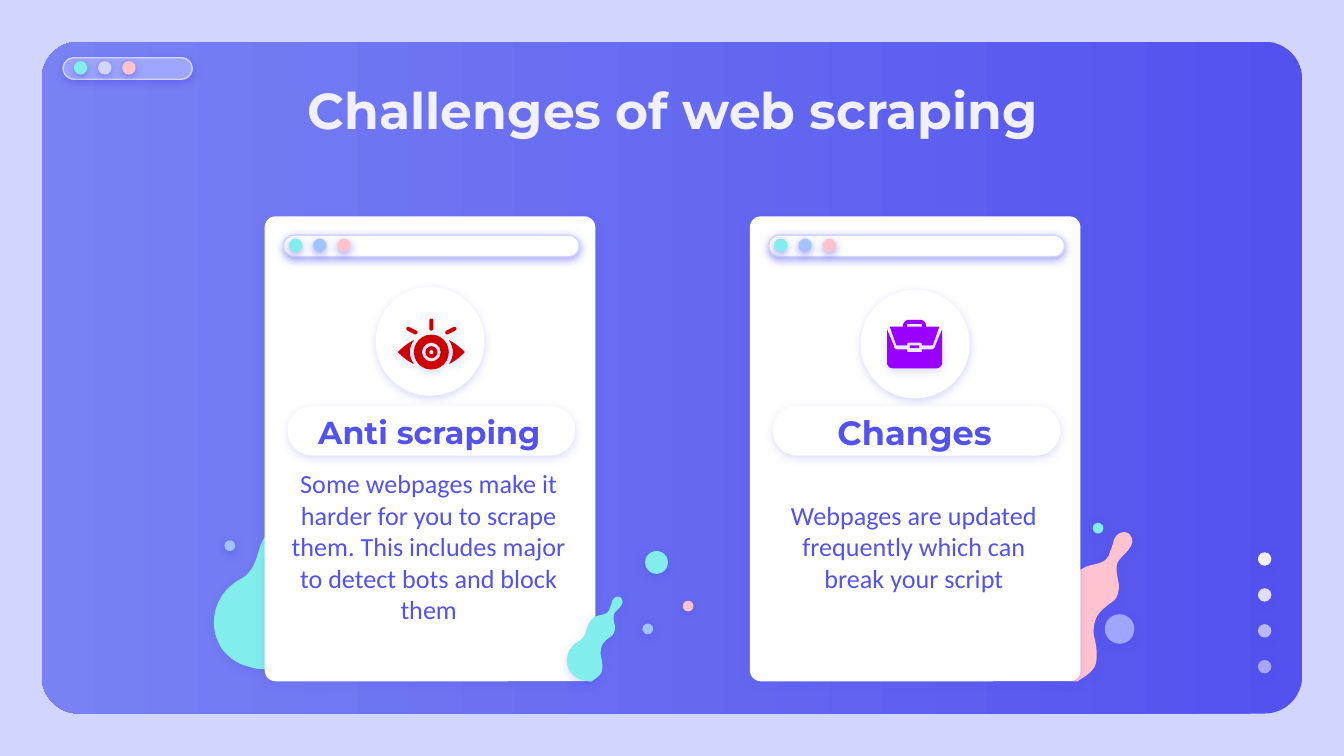
"""Build the slide on the challenges of web scraping."""
import lxml.etree
import pptx
import pptx.dml.color
import pptx.enum.shapes
import pptx.enum.text
import pptx.oxml.ns
import pptx.util

COLORS = {
    "indigo": "5352EE", "violet": "7882F3", "lilac": "9EA6FF", "pale": "D2D6FF",
    "mist": "F1F0FF", "white": "FFFFFF", "aqua": "81EEEB", "sky": "A1C3FF",
    "pink": "FFC3D0", "red": "CC0000", "purple": "9900FF",
}
TITLE = "Challenges of web scraping"
CARDS = [
    {"left": 1.97, "heading": "Anti scraping", "size": 17, "icon_top": 2.14,
     "body": "Some webpages make it harder for you to scrape them. "
             "This includes major to detect bots and block them"},
    {"left": 5.58, "heading": "Changes", "size": 18, "icon_top": 2.16,
     "body": "Webpages are updated frequently which can break your script"},
]
LEFT_DOTS = [(1.67, 4.02, 0.08, "sky"), (4.78, 4.64, 0.08, "sky"),
             (4.8, 4.1, 0.17, "aqua"), (5.08, 4.47, 0.08, "pink")]
RIGHT_DOTS = [(8.22, 4.57, 0.22, "lilac"), (8.13, 3.89, 0.08, "aqua")]
SIDE_DOT_ALPHAS = [100, 89, 66, 54]

BLOB_BOX = (1.55, 3.57, 0.94, 1.41)
BLOB = """M 2.42 3.57 C 2.44 3.57 2.46 3.58 2.47 3.59 C 2.56 3.69 2.4 3.78 2.36 3.85
C 2.33 3.92 2.36 4 2.37 4.07 C 2.37 4.13 2.36 4.2 2.29 4.24 C 2.25 4.27 2.21 4.3 2.18 4.34
C 2.14 4.39 2.13 4.46 2.13 4.53 C 2.14 4.58 2.16 4.65 2.16 4.72 C 2.16 4.76 2.16 4.83 2.12 4.87
C 2.08 4.92 2.02 4.95 1.98 4.98 C 1.93 4.98 1.88 4.98 1.83 4.96 C 1.74 4.94 1.64 4.87 1.6 4.77
C 1.53 4.62 1.59 4.43 1.72 4.34 C 1.76 4.31 1.8 4.3 1.83 4.26 C 1.89 4.2 1.9 4.09 1.93 4.03
C 2.02 3.82 2.2 3.92 2.27 3.8 C 2.29 3.74 2.31 3.7 2.32 3.65 C 2.33 3.62 2.36 3.57 2.42 3.57"""
EYE_CORNER = """M 3.08 2.53 C 3.02 2.56 2.97 2.61 2.97 2.61 C 2.96 2.62 2.96 2.62 2.97 2.63
C 2.97 2.63 3.02 2.68 3.08 2.71 C 3.04 2.65 3.04 2.59 3.08 2.53"""
EYE_CENTER = 3.21
CASE_BODY = """M 6.6 2.45 L 6.6 2.7 C 6.6 2.72 6.62 2.74 6.64 2.74 L 6.97 2.74
C 6.99 2.74 7.01 2.72 7.01 2.7 L 7.01 2.45 L 6.96 2.57 C 6.96 2.59 6.94 2.6 6.93 2.6
L 6.86 2.6 C 6.86 2.62 6.86 2.62 6.85 2.62 L 6.76 2.62 C 6.75 2.62 6.75 2.62 6.75 2.6
L 6.68 2.6 C 6.66 2.6 6.65 2.59 6.65 2.57 L 6.6 2.45"""
CASE_FLAP = """M 6.85 2.41 C 6.86 2.41 6.86 2.41 6.86 2.43 L 6.75 2.43
C 6.75 2.41 6.75 2.41 6.76 2.41 L 6.85 2.41
M 6.76 2.38 C 6.74 2.38 6.72 2.4 6.72 2.42 L 6.72 2.43 L 6.62 2.43 L 6.67 2.57 L 6.75 2.57
C 6.75 2.56 6.75 2.55 6.76 2.55 L 6.85 2.55 C 6.86 2.55 6.86 2.56 6.86 2.57
L 6.94 2.57 L 6.99 2.43 L 6.89 2.43 L 6.89 2.42 C 6.89 2.4 6.87 2.38 6.85 2.38 L 6.76 2.38"""

SHAPE = pptx.enum.shapes.MSO_SHAPE
ANCHOR = pptx.enum.text.MSO_ANCHOR
qn = pptx.oxml.ns.qn


def inch(value):
    return pptx.util.Cm(value * 2.54)


def rgb(name):
    return pptx.dml.color.RGBColor.from_string(COLORS[name])


def style(sp, fill, shadow=50, line=None, alpha=100):
    sp.fill.solid()
    sp.fill.fore_color.rgb = rgb(fill)
    if alpha < 100:
        color = sp.fill._xPr.find(".//" + qn("a:srgbClr"))
        lxml.etree.SubElement(color, qn("a:alpha"), val=str(alpha * 1000))
    if line:
        sp.line.color.rgb = rgb(line)
        sp.line.width = pptx.util.Pt(0.75)
    else:
        sp.line.fill.background()
    sp.shadow.inherit = False
    if shadow:
        effects = sp._element.spPr.find(qn("a:effectLst"))
        outer = lxml.etree.SubElement(effects, qn("a:outerShdw"), blurRad="57150", dist="19050",
                                      dir="5400000", algn="bl", rotWithShape="0")
        color = lxml.etree.SubElement(outer, qn("a:srgbClr"), val=COLORS["indigo"])
        lxml.etree.SubElement(color, qn("a:alpha"), val=str(shadow * 1000))
    return sp


def add(kind, box, fill, adj=None, **look):
    sp = shapes.add_shape(kind, *map(inch, box))
    if adj is not None:
        sp.adjustments[0] = adj
    return style(sp, fill, **look)


def dot(x, y, size, fill, **look):
    return add(SHAPE.OVAL, (x, y, size, size), fill, **look)


def trace(text, steps=8):
    contours = []
    for part in text.replace("M", "|M").split("|")[1:]:
        pts = []
        for row in part.replace("C", "|C").replace("L", "|L").split("|"):
            n = [float(v) for v in row.split()[1:]]
            new = list(zip(n[::2], n[1::2]))
            if row[0] == "C":
                curve = [pts[-1]] + new
                new = [tuple((1 - t) ** 3 * a + 3 * t * (1 - t) ** 2 * b
                             + 3 * t * t * (1 - t) * c + t ** 3 * d for a, b, c, d in zip(*curve))
                       for t in (i / steps for i in range(1, steps + 1))]
            pts += new
        contours.append(pts)
    return contours


def outline(contours, fill, shadow=20):
    builder = None
    for contour in contours:
        pts = [(inch(x), inch(y)) for x, y in contour]
        if builder is None:
            builder = shapes.build_freeform(*pts[0], scale=1.0)
        else:
            builder.move_to(*pts[0])
        builder.add_line_segments(pts[1:], close=True)
    return style(builder.convert_to_shape(), fill, shadow)


def blob(x, y, height, fill):
    k = height / BLOB_BOX[3]
    outline([[(x + (px - BLOB_BOX[0]) * k, y + (py - BLOB_BOX[1]) * k) for px, py in c]
             for c in trace(BLOB)], fill, 22)


def label(text, box, size, font, color, bold=False, anchor=ANCHOR.MIDDLE, inset=0.1):
    tf = shapes.add_textbox(*map(inch, box)).text_frame
    tf.word_wrap = True
    tf.vertical_anchor = anchor
    tf.margin_left = tf.margin_right = tf.margin_top = tf.margin_bottom = inch(inset)
    tf.text = text
    p = tf.paragraphs[0]
    p.alignment = pptx.enum.text.PP_ALIGN.CENTER
    f = p.runs[0].font
    f.name, f.size, f.bold = font, pptx.util.Pt(size), bold
    f.color.rgb = rgb(color)


def browser_bar(x, y, width, fill, first, middle):
    add(SHAPE.ROUNDED_RECTANGLE, (x, y, width, 0.16), fill, adj=0.5, line="pale")
    for i, color in enumerate(("aqua", middle, "pink")):
        dot(x + first + 0.18 * i, y + 0.025, 0.1, color)


prs = pptx.Presentation()
prs.slide_width, prs.slide_height = inch(10), inch(5.625)
s = prs.slides.add_slide(prs.slide_layouts[6])
s.background.fill.solid()
s.background.fill.fore_color.rgb = rgb("pale")
shapes = s.shapes

panel = add(SHAPE.ROUNDED_RECTANGLE, (0.31, 0.31, 9.38, 5), "indigo", adj=0.056, shadow=0)
panel.fill.gradient()
panel.fill.gradient_angle = 180
for stop, name in zip(panel.fill.gradient_stops, ("indigo", "violet")):
    stop.color.rgb = rgb(name)
browser_bar(0.47, 0.43, 0.96, "lilac", 0.08, "pale")
for i, alpha in enumerate(SIDE_DOT_ALPHAS):
    dot(9.36, 4.11 + 0.267 * i, 0.1, "mist", alpha=alpha)

blob(1.57, 3.57, 1.41, "aqua")
blob(7.68, 3.96, 1.11, "pink")
for spec_dot in LEFT_DOTS + RIGHT_DOTS:
    dot(*spec_dot)
for card in CARDS:
    add(SHAPE.ROUNDED_RECTANGLE, (card["left"], 1.61, 2.46, 3.46), "white", adj=0.033, shadow=18)
blob(4.21, 4.44, 0.63, "aqua")

label(TITLE, (0.79, 0.49, 8.43, 0.63), 27, "Montserrat", "mist", True, ANCHOR.TOP)
for card in CARDS:
    x = card["left"]
    add(SHAPE.ROUNDED_RECTANGLE, (x + 0.17, 3.02, 2.14, 0.37), "white", adj=0.5, shadow=18)
    label(card["heading"], (x + 0.35, 3.11, 1.75, 0.21), card["size"], "Montserrat", "indigo",
          True, inset=0)
    label(card["body"], (x + 0.06, 3.51, 2.32, 1.11), 14, "Calibri", "indigo")
    dot(x + 0.83, card["icon_top"], 0.8, "white", line="white", shadow=22)
    browser_bar(x + 0.14, 1.75, 2.2, "white", 0.04, "sky")

for size, adj in ((0.09, 0.33), (0.26, 0.23)):
    add(SHAPE.DONUT, (EYE_CENTER - size / 2, 2.62 - size / 2, size, size), "red", adj, shadow=20)
for dx, y, turn in ((-0.145, 2.46, -63), (0, 2.415, 0), (0.145, 2.46, 63)):
    ray = add(SHAPE.ROUNDED_RECTANGLE, (EYE_CENTER + dx - 0.015, y - 0.045, 0.03, 0.09), "red",
              0.5, shadow=20)
    ray.rotation = turn
corner = trace(EYE_CORNER)
outline(corner, "red")
outline([[(2 * EYE_CENTER - x, y) for x, y in c] for c in corner], "red")

add(SHAPE.RECTANGLE, (6.77, 2.57, 0.07, 0.02), "purple", shadow=20)
outline(trace(CASE_BODY), "purple")
outline(trace(CASE_FLAP), "purple")

prs.save("out.pptx")
